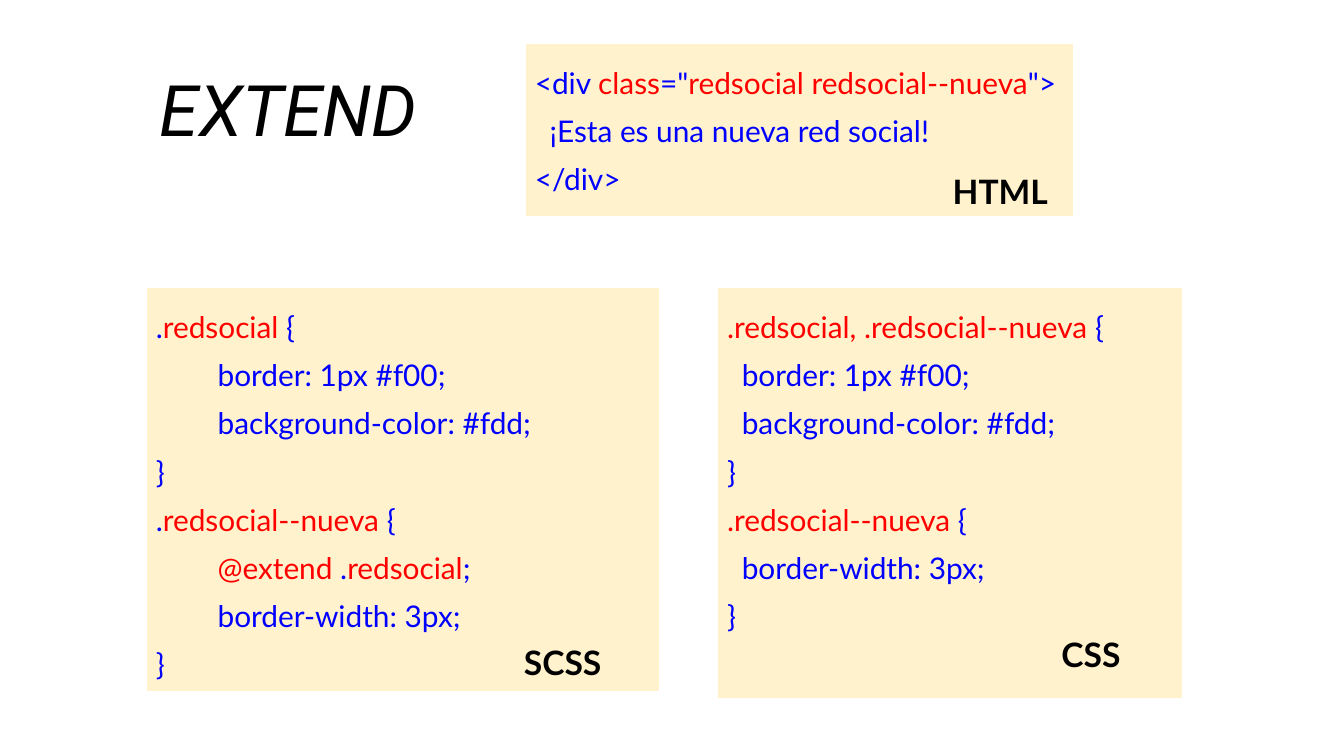
from lxml.etree import SubElement
from pptx import Presentation
from pptx.dml.color import RGBColor
from pptx.enum.text import MSO_ANCHOR, MSO_AUTO_SIZE, PP_ALIGN
from pptx.oxml.ns import qn
from pptx.util import Inches, Pt

BLUE, RED, CREAM, WHITE, BLACK = "0000FF", "FF0000", "FFF2CC", "FFFFFF", "000000"

# Code lines: (indent in inches, text); each "|" switches between blue and red
HTML_CODE = [
    (0, '<div |class|="|redsocial redsocial--nueva|">'),
    (0.11, "¡Esta es una nueva red social!"),
    (0, "</div>"),
]
SCSS_CODE = [
    (0, ".|redsocial| {"),
    (0.46, "border: 1px #f00;"),
    (0.46, "background-color: #fdd;"),
    (0, "}"),
    (0, ".|redsocial--nueva| {"),
    (0.46, "|@extend |.|redsocial|;"),
    (0.46, "border-width: 3px;"),
    (0, "}"),
]
CSS_CODE = [
    (0, "|.redsocial, .redsocial--nueva |{"),
    (0.11, "border: 1px #f00;"),
    (0.11, "background-color: #fdd;"),
    (0, "}"),
    (0, "|.redsocial--nueva| {"),
    (0.11, "border-width: 3px;"),
    (0, "}"),
]


def color(value):
    return RGBColor.from_string(value)


def set_font(font, name, size, value, bold=False, italic=False):
    font.name, font.size = name, Pt(size)
    font.bold, font.italic = bold, italic
    font.color.rgb = color(value)


def set_margins(frame, margin):
    frame.margin_left = frame.margin_right = Inches(margin)
    frame.margin_top = frame.margin_bottom = Inches(margin)


def style_cell(cell):
    """Cream fill, and a thin white border on all four sides."""
    properties = cell._tc.get_or_add_tcPr()
    for side in ("a:lnL", "a:lnR", "a:lnT", "a:lnB"):
        line = SubElement(properties, qn(side), w=str(Pt(0.75)))
        solid = SubElement(line, qn("a:solidFill"))
        SubElement(solid, qn("a:srgbClr"), val=WHITE)
    cell.fill.solid()
    cell.fill.fore_color.rgb = color(CREAM)


def add_title(page, left, top, width, height):
    title = page.shapes.title
    title.left, title.top = Inches(left), Inches(top)
    title.width, title.height = Inches(width), Inches(height)
    frame = title.text_frame
    frame.text = "EXTEND"
    frame.auto_size = MSO_AUTO_SIZE.NONE
    frame.vertical_anchor = MSO_ANCHOR.TOP
    set_margins(frame, 0.1)
    para = frame.paragraphs[0]
    para.alignment = PP_ALIGN.LEFT
    para.line_spacing, para.space_before = 1.15, Pt(20)
    set_font(para.font, "Roboto", 38, BLACK, italic=True)


def add_code(page, left, top, width, height, lines, align):
    """A table whose thin top row is merged with the code row."""
    table = page.shapes.add_table(
        2, 1, Inches(left), Inches(top), Inches(width), Inches(height)).table
    table.first_row = table.horz_banding = False
    table.rows[0].height = Inches(0.01)
    table.rows[1].height = Inches(height - 0.01)
    for row in table.rows:
        style_cell(row.cells[0])
    cell = table.cell(0, 0)
    cell.merge(table.cell(1, 0))
    set_margins(cell, 0.07)
    frame = cell.text_frame
    for number, (indent, text) in enumerate(lines):
        para = frame.add_paragraph() if number else frame.paragraphs[0]
        para.alignment, para.line_spacing = align, 1.35
        para._p.get_or_add_pPr().set("marL", str(Inches(indent)))
        for position, part in enumerate(text.split("|")):
            if part:
                span = para.add_run()
                span.text = part
                set_font(span.font, "Lato", 16, RED if position % 2 else BLUE)


def add_label(page, left, top, text):
    box = page.shapes.add_textbox(
        Inches(left), Inches(top), Inches(0.94), Inches(0.54))
    frame = box.text_frame
    frame.word_wrap = True
    set_margins(frame, 0.1)
    para = frame.paragraphs[0]
    para.text = text
    para.alignment, para.line_spacing = PP_ALIGN.JUSTIFY, 1.15
    set_font(para.font, "Lato", 18, BLACK, bold=True)


def main():
    deck = Presentation()
    deck.slide_width = Inches(10)
    deck.slide_height = deck.slide_width * 9 // 16
    page = deck.slides.add_slide(deck.slide_layouts[5])

    add_title(page, 1.09, 0.29, 8.59, 0.76)

    # Code panels
    add_code(page, 5.34, 2.14, 3.46, 3.06, CSS_CODE, PP_ALIGN.JUSTIFY)
    add_code(page, 1.09, 2.14, 3.82, 3, SCSS_CODE, PP_ALIGN.JUSTIFY)
    add_code(page, 3.91, 0.32, 4.08, 1.29, HTML_CODE, PP_ALIGN.LEFT)

    # Language labels over the panels
    add_label(page, 7.8, 4.57, "CSS")
    add_label(page, 3.8, 4.63, "SCSS")
    add_label(page, 6.99, 1.13, "HTML")

    deck.save("out.pptx")


if __name__ == "__main__":
    main()
